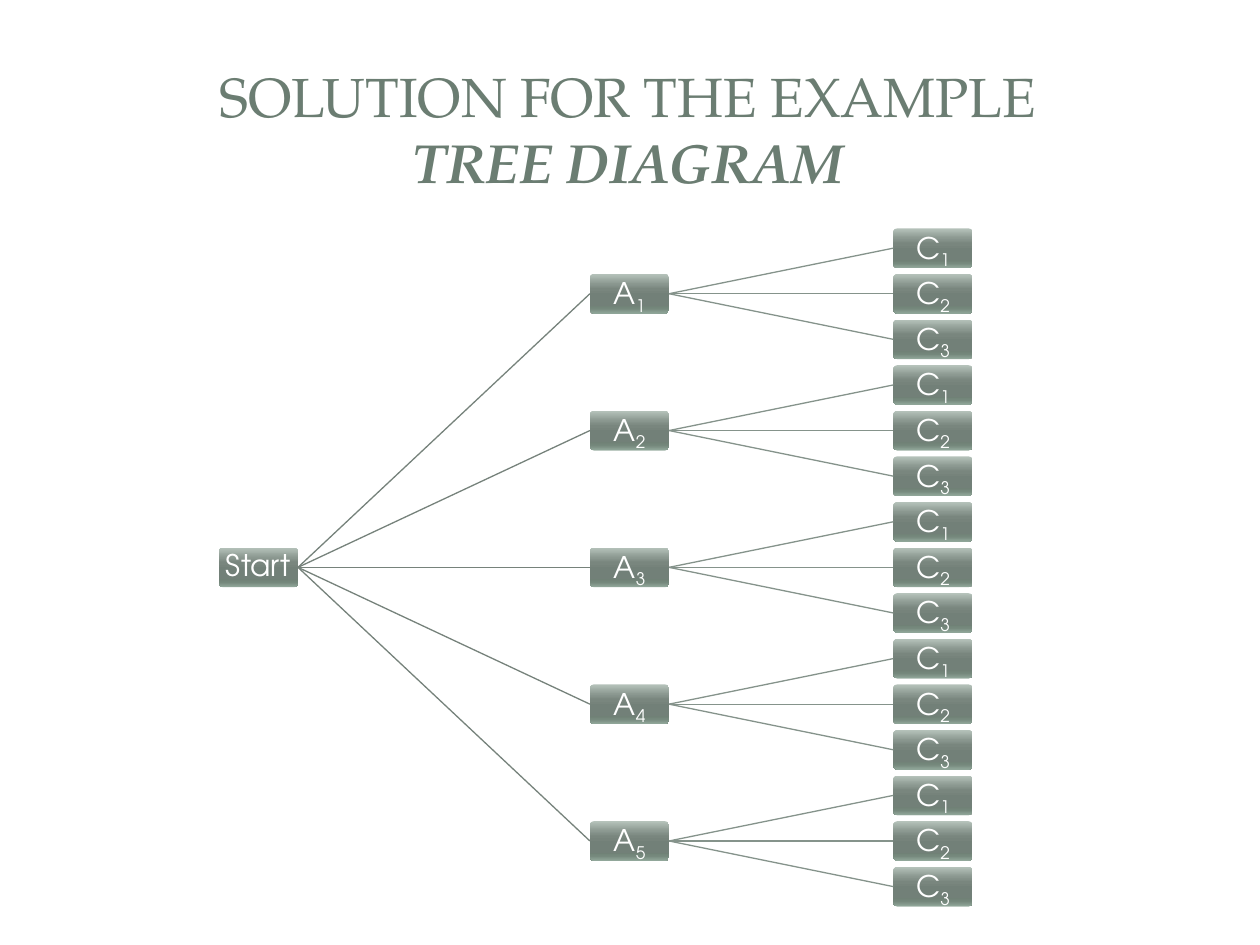
"""Builds a slide with a tree diagram of five A outcomes, each with three C outcomes."""
from lxml import etree
from pptx import Presentation
from pptx.dml.color import RGBColor
from pptx.enum.shapes import MSO_CONNECTOR, MSO_SHAPE
from pptx.enum.text import MSO_ANCHOR, MSO_AUTO_SIZE, PP_ALIGN
from pptx.oxml.ns import qn
from pptx.util import Pt

STRAIGHT = MSO_CONNECTOR.STRAIGHT
ROUNDED = MSO_SHAPE.ROUNDED_RECTANGLE
MIDDLE = MSO_ANCHOR.MIDDLE
NO_AUTOFIT = MSO_AUTO_SIZE.NONE
CENTER = PP_ALIGN.CENTER
LEFT_SIDE, RIGHT_SIDE = 1, 3

COLORS = {
    "title": "6B7D72",
    "label": "FFFFFF",
    "first_branch": "76827B",
    "second_branch": "85938B",
}
NODE_GRADIENT = {0: "B6C3BB", 25: "8B9890", 38: "79867E", 55: "728078",
                 80: "708176", 88: "75887C", 100: "91A79A"}
TITLE_FONT = "TeX Gyre Pagella"
LABEL_FONT = "TeX Gyre Adventor"
TITLE_SIZE = 31.5

NODE_WIDTH, NODE_HEIGHT = 45.2, 22.6
START_X, A_X, C_X = 125.1, 337.1, 510.5
FIRST_TOP, PITCH = 130.5, 26.06
A_COUNT, C_COUNT = 5, 3


def style_run(run, font_name, size, color):
    run.font.name = font_name
    run.font.size = Pt(size)
    run.font.color.rgb = RGBColor.from_string(COLORS[color])


def add_title(slide):
    title = slide.shapes.title
    title.left, title.top, title.width, title.height = Pt(33.8), Pt(32.4), Pt(650), Pt(82)
    frame = title.text_frame
    frame.text = "SOLUTION FOR THE EXAMPLE\vTREE DIAGRAM"
    frame.auto_size = NO_AUTOFIT
    frame.word_wrap = True
    frame.vertical_anchor = MIDDLE
    paragraph = frame.paragraphs[0]
    paragraph.alignment = CENTER
    for run in paragraph.runs:
        style_run(run, TITLE_FONT, TITLE_SIZE, "title")
    subtitle = paragraph.runs[1]
    subtitle.font.bold = subtitle.font.italic = True
    line_break = paragraph._p.find(qn("a:br"))
    etree.SubElement(line_break, qn("a:rPr"), sz=str(int(TITLE_SIZE * 100)))


def fill_with_gradient(node):
    node.fill.gradient()
    node.fill.gradient_angle = 270
    stops = node._element.spPr.find(".//" + qn("a:gsLst"))
    for stop in list(stops):
        stops.remove(stop)
    for percent, color in NODE_GRADIENT.items():
        stop = etree.SubElement(stops, qn("a:gs"), pos=str(percent * 1000))
        etree.SubElement(stop, qn("a:srgbClr"), val=color)


def add_node(slide, x, row, label, subscript=None):
    node = slide.shapes.add_shape(ROUNDED, Pt(x), Pt(FIRST_TOP + row * PITCH),
                                  Pt(NODE_WIDTH), Pt(NODE_HEIGHT))
    node.adjustments[0] = 0.1
    node.shadow.inherit = False
    node.line.fill.background()
    fill_with_gradient(node)
    frame = node.text_frame
    frame.margin_left = frame.margin_right = Pt(0.8)
    frame.margin_top = frame.margin_bottom = Pt(0.8)
    frame.word_wrap = True
    frame.vertical_anchor = MIDDLE
    paragraph = frame.paragraphs[0]
    paragraph.text = label
    paragraph.alignment = CENTER
    paragraph.line_spacing = 0.9
    if subscript:
        index = paragraph.add_run()
        index.text = str(subscript)
        index.font._element.set("baseline", "-25000")
    for run in paragraph.runs:
        style_run(run, LABEL_FONT, 17, "label")
    return node


def add_branch(slide, parent, child, color):
    branch = slide.shapes.add_connector(STRAIGHT, 0, 0, 0, 0)
    branch.begin_connect(parent, RIGHT_SIDE)
    branch.end_connect(child, LEFT_SIDE)
    branch.line.width = Pt(0.75)
    branch.line.color.rgb = RGBColor.from_string(COLORS[color])
    etree.SubElement(branch._element.spPr, qn("a:effectLst"))


def add_tree(slide):
    middle_row = (A_COUNT * C_COUNT - 1) / 2
    start = add_node(slide, START_X, middle_row, "Start")
    for a in range(A_COUNT):
        first_row = a * C_COUNT
        a_node = add_node(slide, A_X, first_row + (C_COUNT - 1) / 2, "A", a + 1)
        add_branch(slide, start, a_node, "first_branch")
        for c in range(C_COUNT):
            c_node = add_node(slide, C_X, first_row + c, "C", c + 1)
            add_branch(slide, a_node, c_node, "second_branch")


def main():
    deck = Presentation()
    deck.slide_width, deck.slide_height = Pt(720), Pt(540)
    slide = deck.slides.add_slide(deck.slide_layouts[5])
    add_title(slide)
    add_tree(slide)
    deck.save("out.pptx")


if __name__ == "__main__":
    main()
